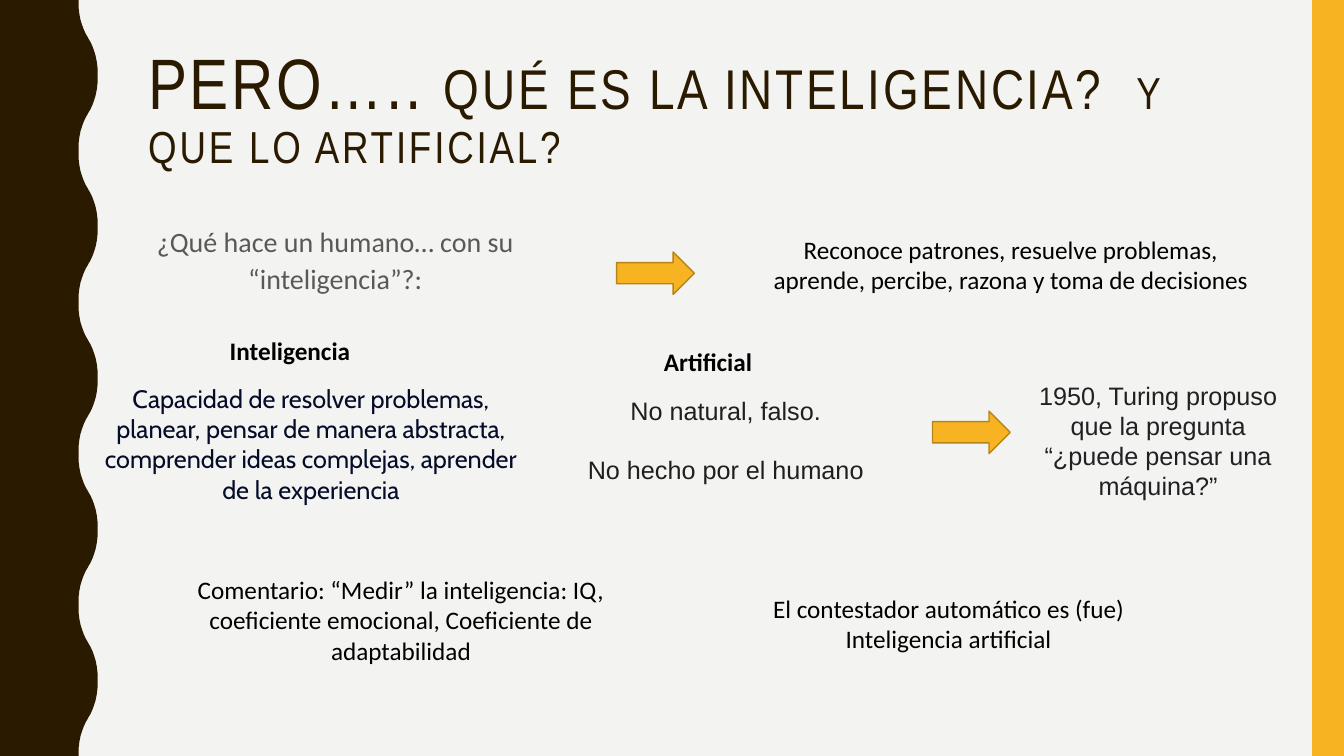
from dataclasses import dataclass

from pptx import Presentation
from pptx.dml.color import RGBColor
from pptx.enum.shapes import MSO_SHAPE
from pptx.enum.text import MSO_ANCHOR, MSO_AUTO_SIZE, PP_ALIGN
from pptx.util import Cm, Pt

RECT, ARROW = MSO_SHAPE.RECTANGLE, MSO_SHAPE.RIGHT_ARROW
LEFT, MID = PP_ALIGN.LEFT, PP_ALIGN.CENTER
TOP, FIXED = MSO_ANCHOR.TOP, MSO_AUTO_SIZE.NONE


@dataclass(frozen=True)
class Theme:
    paper: str = "F3F3F2"
    dark: str = "2A1A00"
    gold: str = "F8B323"
    edge: str = "B7841A"
    black: str = "000000"
    gray: str = "595959"
    navy: str = "040C28"
    ink: str = "202122"
    soft: str = "1F1F1F"
    sans: str = "Calibri"
    plain: str = "Arial"
    round: str = "Cabin"
    narrow: str = "Arial Narrow"
    text: int = 18
    lead: int = 20
    small: int = 32
    large: int = 40
    huge: int = 51


T = Theme()
WIDE, HIGH = 33.87, 19.05
# First half of one bend, as (down, across); the second half mirrors it
BEND = [(0, 0), (0.18, 0), (0.35, 0.02), (0.5, 0.05), (0.63, 0.09),
        (0.74, 0.13), (0.85, 0.18), (0.95, 0.24)]
BENDS, SWING = 10, 0.48


def color(code):
    return RGBColor.from_string(code)


def style(font, **values):
    for name, value in values.items():
        if name == "color":
            font.color.rgb = color(value)
        else:
            setattr(font, name, value)


def paint(shape, fill, line=None):
    shape.shadow.inherit = False
    shape.fill.solid()
    shape.fill.fore_color.rgb = color(fill)
    if line:
        shape.line.color.rgb = color(line)
        shape.line.width = Pt(1)
    else:
        shape.line.fill.background()


def note(slide, box, *lines, face=T.sans, size=T.text, ink=T.black,
         bold=False, align=MID, wrap=True, pitch=1.0, gap=0):
    frame = slide.shapes.add_textbox(*map(Cm, box)).text_frame
    frame.word_wrap = wrap
    for i, line in enumerate(lines):
        para = frame.add_paragraph() if i else frame.paragraphs[0]
        para.alignment, para.line_spacing = align, pitch
        if i:
            para.space_before = Pt(gap)
        run = para.add_run()
        run.text = line
        style(run.font, name=face, size=Pt(size), color=ink, bold=bold)


def arrow(slide, x, y):
    shape = slide.shapes.add_shape(ARROW, Cm(x), Cm(y), Cm(1.96), Cm(1.07))
    paint(shape, T.gold, T.edge)


def wave(slide, x, y, w, h):
    """Dark band with a wavy right side."""
    step = h / BENDS
    half = BEND + [(step - d, SWING - a) for d, a in reversed(BEND)]
    side = []
    for i in range(BENDS):
        for down, across in half:
            swing = SWING - across if i % 2 else across
            side.append((Cm(x + w - SWING + swing), Cm(y + i * step + down)))
    pen = slide.shapes.build_freeform(Cm(x), Cm(y), scale=1.0)
    pen.add_line_segments(side + [(Cm(x), Cm(y + h))], close=True)
    paint(pen.convert_to_shape(), T.dark)


def rail(slide, *box):
    paint(slide.shapes.add_shape(RECT, *map(Cm, box)), T.gold)


def header(slide, *box):
    title = slide.shapes.title
    title.left, title.top, title.width, title.height = map(Cm, box)
    frame = title.text_frame
    frame.word_wrap, frame.auto_size = True, FIXED
    frame.vertical_anchor = TOP
    para = frame.paragraphs[0]
    para.alignment, para.line_spacing = LEFT, 0.9
    # Letter spacing in points; the lone space is a wide gap
    for text, size, track in (("PERO….. ", T.huge, 2),
                              ("QUÉ ES LA INTELIGENCIA?", T.large, 2),
                              (" ", T.large, 13),
                              ("Y QUE LO ARTIFICIAL?", T.small, 2)):
        run = para.add_run()
        run.text = text
        style(run.font, name=T.narrow, size=Pt(size), color=T.dark)
        run.font._element.set("spc", str(track * 100))


def query(slide, x, y, w, h):
    """Question, arrow and answer."""
    note(slide, (x, y, 13.54, h),
         "¿Qué hace un humano… con su “inteligencia”?:",
         size=T.lead, ink=T.gray, pitch=1.1)
    arrow(slide, x + 13.86, y + 0.89)
    note(slide, (x + w - 12.95, y + 0.31, 12.95, 1.8),
         "Reconoce patrones, resuelve problemas, aprende, percibe, "
         "razona y toma de decisiones")


def terms(slide, x, y, w, h):
    """Two defined words and the Turing question."""
    for text, dx, dy, wide in (("Inteligencia", 3.46, 0, 3.96),
                               ("Artificial", 14.4, 0.28, 3.12)):
        note(slide, (x + dx, y + dy, wide, 1.02), text,
             bold=True, align=LEFT, wrap=False)
    note(slide, (x, y + h - 3.33, 11.51, 3.33),
         "Capacidad de resolver problemas, planear, pensar de manera "
         "abstracta, comprender ideas complejas, aprender de la experiencia",
         face=T.round, ink=T.navy)
    note(slide, (x + 12.45, y + 1.5, 7.52, 2.57),
         "No natural, falso.", "No hecho por el humano",
         face=T.plain, ink=T.soft, wrap=False, gap=21)
    arrow(slide, x + 21.42, y + 2.03)
    note(slide, (x + w - 7.37, y + 1.12, 7.37, 3.33),
         "1950, Turing propuso que la pregunta “¿puede pensar una máquina?”",
         face=T.plain, ink=T.ink)


def remarks(slide, x, y, w, h):
    """Closing comments."""
    wide = 10.87
    note(slide, (x, y, wide, h),
         "Comentario: “Medir” la inteligencia: IQ, coeficiente emocional, "
         "Coeficiente de adaptabilidad")
    note(slide, (x + w - wide, y + 0.48, wide, 1.8),
         "El contestador automático es (fue) Inteligencia artificial")


def main():
    deck = Presentation()
    deck.slide_width, deck.slide_height = Cm(WIDE), Cm(HIGH)
    slide = deck.slides.add_slide(deck.slide_layouts[5])
    back = slide.background.fill
    back.solid()
    back.fore_color.rgb = color(T.paper)

    wave(slide, 0, 0, 2.46, HIGH)
    rail(slide, WIDE - 0.8, 0, 0.8, HIGH)
    header(slide, 3.48, 1.07, 28.27, 4.14)
    query(slide, 1.68, 5.46, 30.27, 3.18)
    terms(slide, 2.08, 8.33, 30.79, 4.53)
    remarks(slide, 4.67, 14.35, 24.67, 2.57)
    deck.save("out.pptx")


if __name__ == "__main__":
    main()
